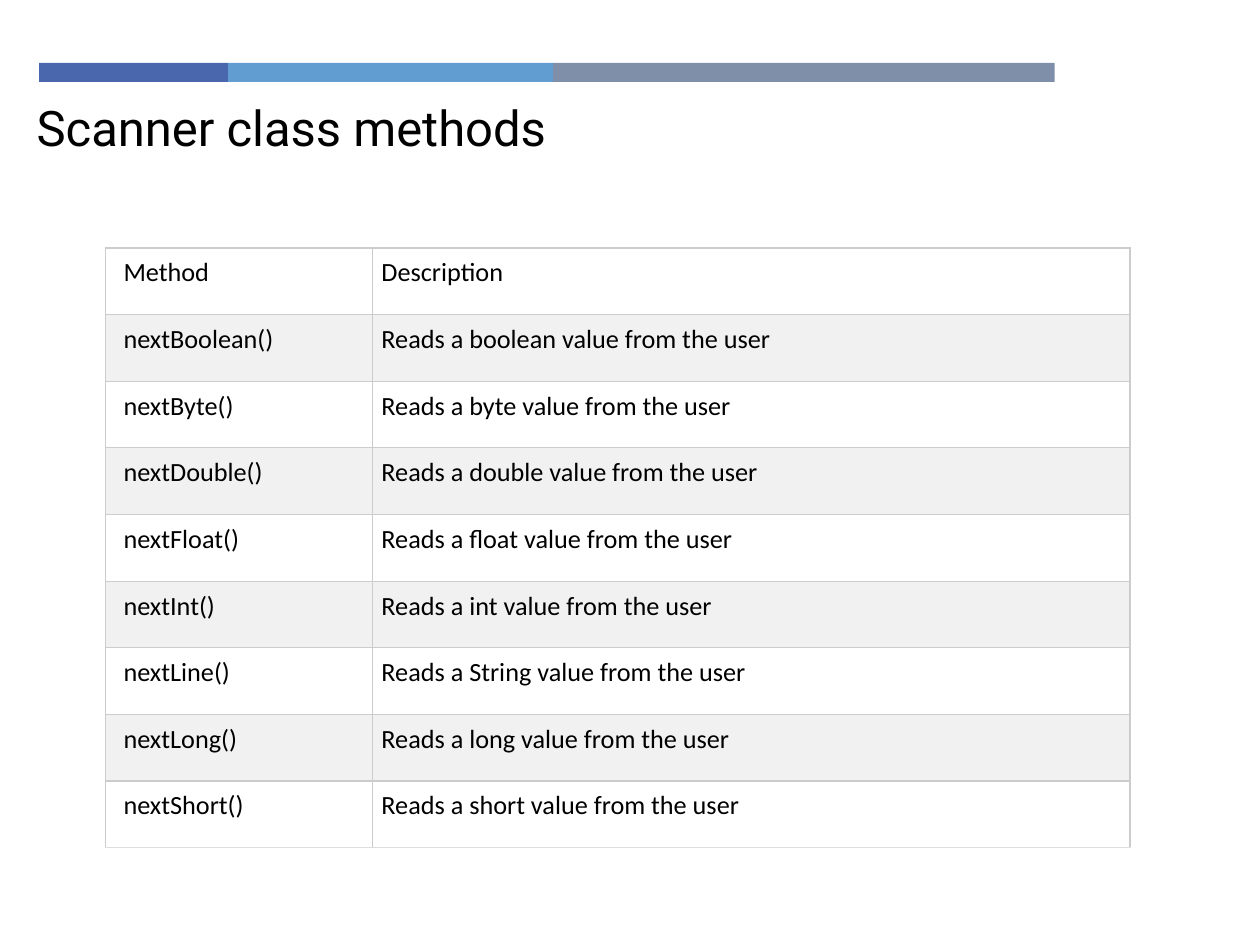
"""Build a slide that lists the Scanner class methods in a table."""
from lxml import etree
from pptx import Presentation
from pptx.dml.color import RGBColor
from pptx.enum.shapes import MSO_SHAPE
from pptx.enum.text import MSO_ANCHOR, PP_ALIGN
from pptx.oxml.ns import qn
from pptx.util import Cm, Pt

RECTANGLE = MSO_SHAPE.RECTANGLE
TOP = MSO_ANCHOR.TOP
LEFT = PP_ALIGN.LEFT

BLACK = RGBColor(0x00, 0x00, 0x00)
WHITE = RGBColor(0xFF, 0xFF, 0xFF)
BAND_GREY = RGBColor(0xF1, 0xF1, 0xF1)
BORDER_GREY = RGBColor(0xCC, 0xCC, 0xCC)
BOTTOM_GREY = RGBColor(0xDD, 0xDD, 0xDD)
INDIGO = RGBColor(0x4A, 0x66, 0xAC)
SKY_BLUE = RGBColor(0x62, 0x9D, 0xD1)
SLATE = RGBColor(0x7F, 0x8F, 0xA9)


def write_text(frame, text, *, font, size, color=BLACK):
    frame.vertical_anchor = TOP
    paragraph = frame.paragraphs[0]
    paragraph.alignment = LEFT
    run = paragraph.add_run()
    run.text = text
    run.font.name = font
    run.font.size = Pt(size)
    run.font.color.rgb = color


def add_border(cell, side, color):
    line = etree.SubElement(cell._tc.get_or_add_tcPr(), qn(f"a:ln{side}"), w=str(Pt(0.75)))
    fill = etree.SubElement(line, qn("a:solidFill"))
    etree.SubElement(fill, qn("a:srgbClr"), val=str(color))


presentation = Presentation()
presentation.slide_width = Cm(25.4)
presentation.slide_height = Cm(19.05)
slide = presentation.slides.add_slide(presentation.slide_layouts[5])

stripe_left = Cm(0.79)
for stripe_width, stripe_color in ((Cm(3.81), INDIGO), (Cm(6.55), SKY_BLUE), (Cm(10.11), SLATE)):
    stripe = slide.shapes.add_shape(RECTANGLE, stripe_left, Cm(1.27), stripe_width, Cm(0.38))
    stripe.shadow.inherit = False
    stripe.fill.solid()
    stripe.fill.fore_color.rgb = stripe_color
    stripe.line.fill.background()
    stripe_left += stripe_width

title = slide.shapes.title
title.left, title.top, title.width, title.height = Cm(0.74), Cm(1.96), Cm(14.33), Cm(1.19)
title_frame = title.text_frame
title_frame.margin_left = title_frame.margin_right = 0
title_frame.margin_top = title_frame.margin_bottom = 0
write_text(title_frame, "Scanner class methods", font="Roboto", size=28)

value_types = ("boolean", "byte", "double", "float", "int", "String", "long", "short")
method_names = {"String": "nextLine()"}
rows = [("Method", "Description")]
for value_type in value_types:
    method = method_names.get(value_type, f"next{value_type.capitalize()}()")
    rows.append((method, f"Reads a {value_type} value from the user"))

methods = slide.shapes.add_table(len(rows), 2, Cm(2.13), Cm(5), Cm(20.65), Cm(12.09)).table
methods.columns[0].width = Cm(5.38)
methods.columns[1].width = Cm(15.27)

for row_index, row in enumerate(rows):
    is_last = row_index == len(rows) - 1
    for column_index, text in enumerate(row):
        cell = methods.cell(row_index, column_index)
        cell.margin_left = Cm(0.18) if column_index else Cm(0.36)
        cell.margin_right = cell.margin_top = cell.margin_bottom = Cm(0.18)
        cell.vertical_anchor = TOP
        for side in "LRTB":
            add_border(cell, side, BOTTOM_GREY if is_last and side == "B" else BORDER_GREY)
        cell.fill.solid()
        cell.fill.fore_color.rgb = BAND_GREY if row_index % 2 else WHITE
        write_text(cell.text_frame, text, font="Calibri", size=15)

presentation.save("out.pptx")
